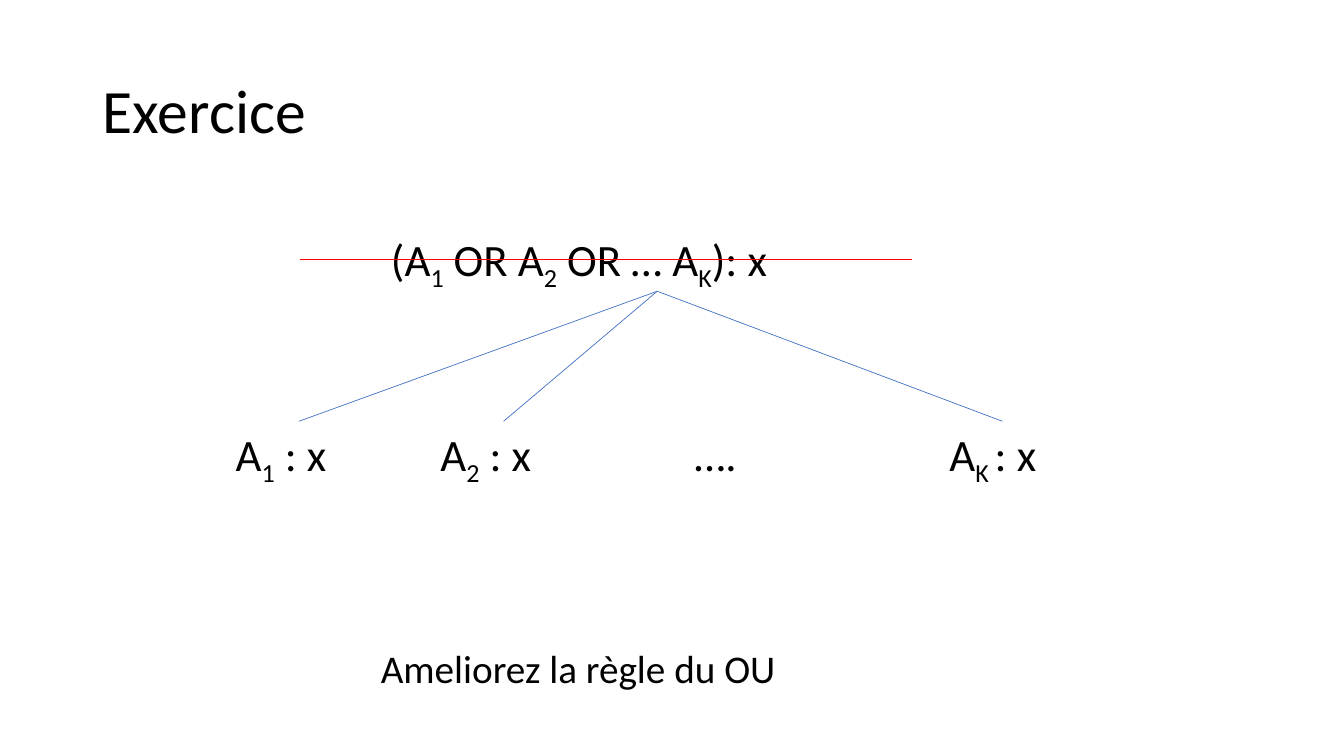
import dataclasses

import lxml.etree
import pptx
import pptx.dml.color
import pptx.enum.shapes
import pptx.enum.text
import pptx.oxml.ns
import pptx.util

SLIDE_WIDTH = pptx.util.Inches(13.333)
SLIDE_HEIGHT = pptx.util.Inches(7.5)
GRID_DIVISIONS = 100
FONT_NAME = "Calibri"
BLACK, BLUE, RED = "000000", "4472C4", "FF0000"
BOTTOM_SITE, TOP_SITE = 2, 0
LEAF_ROW, LEAF_COLUMNS, FORMULA_ROWS = 55.73, 10.88, 8.53


@dataclasses.dataclass(frozen=True)
class Piece:
    text: str
    subscript: bool = False


@dataclasses.dataclass(frozen=True)
class Label:
    pieces: tuple[Piece, ...]
    column: float
    row: float
    columns: float
    rows: float = FORMULA_ROWS
    size: int = 32
    wrap: bool = True


@dataclasses.dataclass(frozen=True)
class Leaf:
    pieces: tuple[Piece, ...]
    column: float
    joined: bool = True


FORMULA = Label(
    (
        Piece("(A"), Piece("1", True), Piece(" OR A"), Piece("2", True),
        Piece(" OR … A"), Piece("K", True), Piece("): x"),
    ),
    28.35, 30, 41.1,
)
LEAVES = (
    Leaf((Piece("A"), Piece("1", True), Piece(" : x")), 16.8),
    Leaf((Piece("A"), Piece("2", True), Piece(" : x")), 32.03),
    Leaf((Piece("…."),), 50.93, joined=False),
    Leaf((Piece(" A"), Piece("K ", True), Piece(": x")), 69.15),
)
TASK = Label((Piece("Ameliorez la règle du OU"),), 27.6, 84.53, 31.13, 7.6, 28, False)


def across(columns: float) -> int:
    return round(SLIDE_WIDTH * columns / GRID_DIVISIONS)


def down(rows: float) -> int:
    return round(SLIDE_HEIGHT * rows / GRID_DIVISIONS)


def color(value: str) -> pptx.dml.color.RGBColor:
    return pptx.dml.color.RGBColor.from_string(value)


def format_run(run, size: int) -> None:
    run.font.name = FONT_NAME
    run.font.size = pptx.util.Pt(size)
    run.font.color.rgb = color(BLACK)


def add_title(slide, text: str) -> None:
    title = slide.shapes.title
    title.left, title.top = across(6.9), down(5.33)
    title.width, title.height = across(86.25), down(19.33)
    title.text_frame.text = text
    title.text_frame.vertical_anchor = pptx.enum.text.MSO_ANCHOR.MIDDLE
    paragraph = title.text_frame.paragraphs[0]
    paragraph.alignment = pptx.enum.text.PP_ALIGN.LEFT
    paragraph.line_spacing = 0.9
    format_run(paragraph.runs[0], 44)


def add_label(slide, label: Label):
    shape = slide.shapes.add_textbox(
        across(label.column), down(label.row), across(label.columns), down(label.rows)
    )
    shape.text_frame.word_wrap = label.wrap
    shape.text_frame.auto_size = pptx.enum.text.MSO_AUTO_SIZE.SHAPE_TO_FIT_TEXT
    paragraph = shape.text_frame.paragraphs[0]
    for piece in label.pieces:
        run = paragraph.add_run()
        run.text = piece.text
        format_run(run, label.size)
        if piece.subscript:
            run._r.get_or_add_rPr().set("baseline", "-25000")
    return shape


def add_line(slide, line_color: str, start: tuple[int, int], end: tuple[int, int]):
    connector = slide.shapes.add_connector(
        pptx.enum.shapes.MSO_CONNECTOR.STRAIGHT, *start, *end
    )
    connector.line.color.rgb = color(line_color)
    connector.line.width = pptx.util.Pt(0.5)
    lxml.etree.SubElement(connector._element.spPr, pptx.oxml.ns.qn("a:effectLst"))
    return connector


def add_branch(slide, parent, child) -> None:
    connector = add_line(
        slide,
        BLUE,
        (parent.left + parent.width // 2, parent.top + parent.height),
        (child.left + child.width // 2, child.top),
    )
    connector.begin_connect(parent, BOTTOM_SITE)
    connector.end_connect(child, TOP_SITE)


def main() -> None:
    presentation = pptx.Presentation()
    presentation.slide_width = SLIDE_WIDTH
    presentation.slide_height = SLIDE_HEIGHT
    slide = presentation.slides.add_slide(presentation.slide_layouts[5])

    add_title(slide, "Exercice")
    formula = add_label(slide, FORMULA)
    for leaf in LEAVES:
        shape = add_label(slide, Label(leaf.pieces, leaf.column, LEAF_ROW, LEAF_COLUMNS))
        if leaf.joined:
            add_branch(slide, formula, shape)
    strike_height = down(34.27)
    add_line(slide, RED, (across(22.35), strike_height), (across(67.88), strike_height))
    add_label(slide, TASK)

    presentation.save("out.pptx")


if __name__ == "__main__":
    main()
